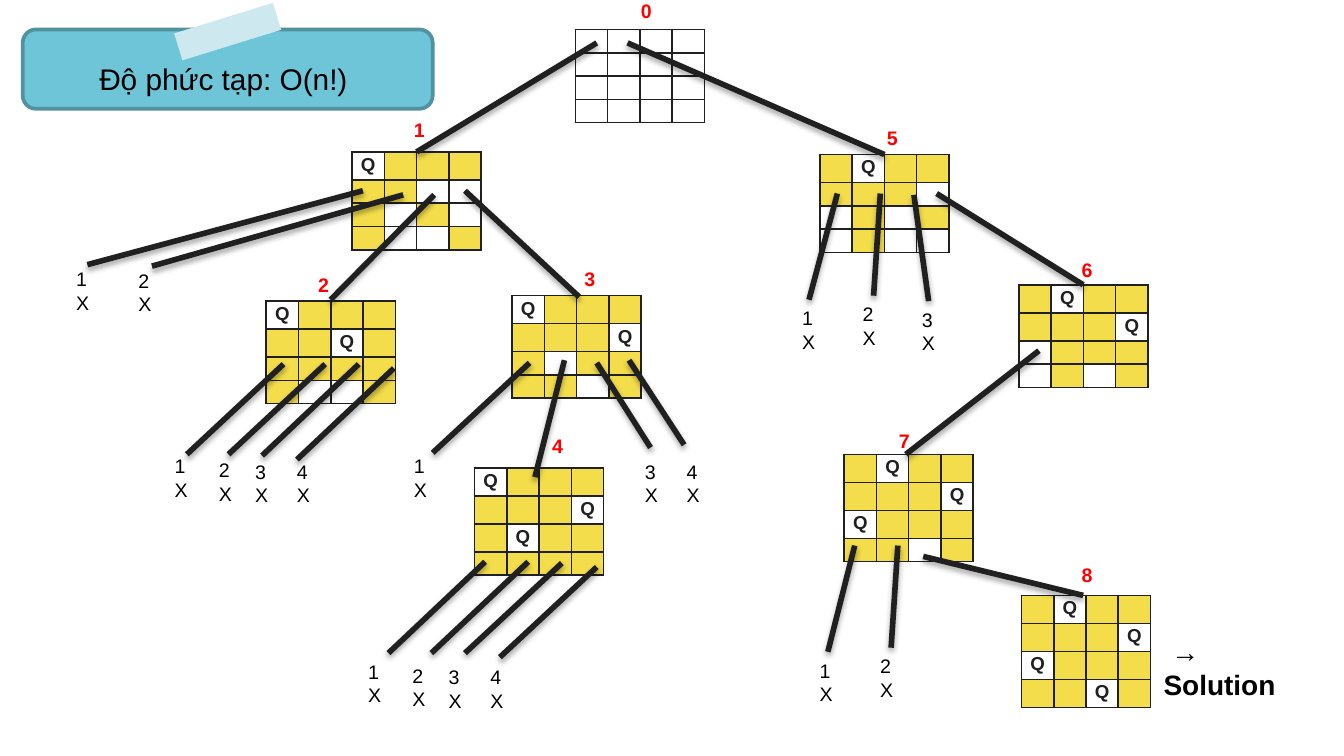
from lxml import etree
from pptx import Presentation
from pptx.dml.color import RGBColor
from pptx.enum.shapes import MSO_CONNECTOR, MSO_SHAPE
from pptx.enum.text import MSO_ANCHOR, MSO_AUTO_SIZE, PP_ALIGN
from pptx.oxml.ns import qn
from pptx.util import Pt

STRAIGHT = MSO_CONNECTOR.STRAIGHT
ROUNDED, RECTANGLE = MSO_SHAPE.ROUNDED_RECTANGLE, MSO_SHAPE.RECTANGLE
CENTER, MIDDLE = PP_ALIGN.CENTER, MSO_ANCHOR.MIDDLE
GROW = MSO_AUTO_SIZE.SHAPE_TO_FIT_TEXT

COLORS = {key: RGBColor.from_string(value) for key, value in {
    "ink": "202020", "black": "000000", "red": "FF0000", "free": "FFFFFF",
    "attacked": "F4DD4B", "card": "6FC5D8", "card edge": "5292A0", "tape": "CDE8EE",
}.items()}
COLUMN, QUEEN_ROW, PLAIN_ROW = 17.3, 15, 12.5
STEP_SIZE, LEAF_HEIGHT = 20.2, 32.4

# number, left, top, label left, label top, rows (Q queen, # attacked, . free)
BOARDS = [
    (0, 308.2, 15.8, 336.2, -4.3, ".... .... .... ...."),
    (1, 188.6, 81.4, 214.6, 59.8, "Q### ##.. #.#. #..#"),
    (2, 142.6, 161.3, 163.4, 142.6, "Q### ##Q# #### #..#"),
    (3, 274.3, 158.4, 306, 139.7, "Q### ###Q #.## ##.#"),
    (4, 254.2, 250.6, 288.7, 229, "Q### ###Q #Q## ####"),
    (5, 439.2, 82.8, 468, 64.1, "#Q## ###. .#.# .#.."),
    (6, 545.8, 152.6, 572.4, 134.6, "#Q## ###Q .### .#.#"),
    (7, 452.2, 243.4, 474.5, 226.1, "#Q## ###Q Q### ##.#"),
    (8, 547.2, 319, 572.4, 298.1, "#Q## ###Q Q### ##Q#"),
]
# from x, from y, to x, to y
BRANCHES = [
    (319.7, 23, 223.2, 81.4), (336.2, 23, 473.8, 82.8),
    (232.6, 104.4, 177.1, 160.6), (249.1, 102.2, 310.3, 159.1),
    (302.4, 193, 286.6, 255.6), (501.8, 103.7, 580.3, 152.6),
    (556.6, 187.9, 485.3, 243.4), (494.6, 298.1, 580.3, 319),
]
# column tried, branch ends, label left, label top, label width
DEAD_ENDS = [
    (1, (194.4, 102.2, 46.8, 141.8), 33.8, 139.7, 21.6),
    (2, (216, 104.4, 81.4, 142.6), 67, 140.4, 21.6),
    (1, (151.9, 195.1, 100.1, 243.4), 86.4, 239.8, 15.1),
    (2, (174.2, 195.1, 122.4, 243.4), 110.2, 241.9, 15.1),
    (3, (192.2, 195.1, 140.4, 244.1), 129.6, 242.6, 15.1),
    (4, (211, 197.3, 159.1, 246.2), 151.9, 242.6, 15.1),
    (1, (283.7, 194.4, 231.8, 242.6), 214.6, 239.8, 15.1),
    (3, (319.7, 194.4, 348.5, 239.8), 338.4, 242.6, 15.1),
    (4, (337, 193, 366.5, 238.3), 360.7, 242.6, 15.1),
    (1, (259.9, 301, 208.1, 349.9), 190.1, 349.9, 15.1),
    (2, (283, 301, 231.1, 349.9), 213.8, 352.1, 15.1),
    (3, (301, 301.7, 249.1, 349.9), 233.3, 352.8, 15.1),
    (4, (319.7, 303.8, 267.8, 352.1), 255.6, 352.8, 15.1),
    (1, (448.6, 103.7, 433.4, 160.6), 422.6, 160.6, 15.1),
    (2, (471.6, 103.7, 468, 158.4), 455, 158.4, 15.1),
    (3, (489.6, 104.4, 497.5, 161.3), 486.7, 161.3, 15.1),
    (1, (457.9, 292.3, 443.5, 349.2), 432, 349.2, 15.1),
    (2, (481, 292.3, 477.4, 347), 464.4, 347, 15.1),
]


def style(run, size, color, bold=False):
    """Set the typeface, size, colour and weight of a run."""
    run.font.name, run.font.size, run.font.bold = "Arial", Pt(size), bold
    run.font.color.rgb = COLORS[color]


def add_label(lines, left, top, width, height, size, color, bold, wrap):
    """Add a text box with one paragraph per line."""
    box = slide.shapes.add_textbox(Pt(left), Pt(top), Pt(width), Pt(height))
    frame = box.text_frame
    frame.word_wrap, frame.auto_size = wrap, GROW
    for index, line in enumerate(lines):
        paragraph = frame.add_paragraph() if index else frame.paragraphs[0]
        run = paragraph.add_run()
        run.text = line
        style(run, size, color, bold)


deck = Presentation()
deck.slide_width, deck.slide_height = Pt(720), Pt(405)
slide = deck.slides.add_slide(deck.slide_layouts[6])

# Boards
for number, left, top, label_left, label_top, pattern in BOARDS:
    rows = pattern.split()
    heights = [QUEEN_ROW if "Q" in row else PLAIN_ROW for row in rows]
    board = slide.shapes.add_table(4, 4, Pt(left), Pt(top),
                                   Pt(4 * COLUMN), Pt(sum(heights))).table
    for column in board.columns:
        column.width = Pt(COLUMN)
    for r, row in enumerate(rows):
        board.rows[r].height = Pt(heights[r])
        for c, mark in enumerate(row):
            square = board.cell(r, c)
            square.margin_left = square.margin_right = Pt(2.9)
            square.margin_top = square.margin_bottom = Pt(1.4)
            paragraph = square.text_frame.paragraphs[0]
            paragraph.alignment = CENTER
            if mark == "Q":
                queen = paragraph.add_run()
                queen.text = mark
                style(queen, 10, "ink", True)
            else:
                etree.SubElement(paragraph._p, qn("a:endParaRPr"), sz="600")
            properties = square._tc.get_or_add_tcPr()
            for side in ("lnL", "lnR", "lnT", "lnB"):
                border = etree.SubElement(properties, qn("a:" + side), w=str(Pt(1)))
                paint = etree.SubElement(border, qn("a:solidFill"))
                etree.SubElement(paint, qn("a:srgbClr"), val=str(COLORS["ink"]))
            square.fill.solid()
            square.fill.fore_color.rgb = COLORS["attacked" if mark == "#" else "free"]

# Branches
for ends in BRANCHES + [dead_end[1] for dead_end in DEAD_ENDS]:
    branch = slide.shapes.add_connector(STRAIGHT, *[Pt(value) for value in ends])
    branch.line.color.rgb = COLORS["ink"]
    branch.line.width = Pt(3)
    effects = etree.SubElement(branch._element.spPr, qn("a:effectLst"))
    shadow = etree.SubElement(effects, qn("a:outerShdw"), blurRad=str(Pt(3.1)),
                              dist=str(Pt(1.8)), dir="5400000", rotWithShape="0")
    tint = etree.SubElement(shadow, qn("a:srgbClr"), val=str(COLORS["black"]))
    etree.SubElement(tint, qn("a:alpha"), val="35000")

# Labels
for number, _, _, left, top, _ in BOARDS:
    add_label([str(number)], left, top, STEP_SIZE, STEP_SIZE, 10.5, "red", True, False)
for tried, _, left, top, width in DEAD_ENDS:
    add_label([str(tried), "X"], left, top, width, LEAF_HEIGHT, 10.5, "black", False,
              width < STEP_SIZE)
add_label([" → Solution"], 616.3, 336.2, 84.2, 43.9, 15, "black", True, True)

# Title card
card = slide.shapes.add_shape(ROUNDED, Pt(12.2), Pt(15.8), Pt(219.6), Pt(42.5))
card.line.color.rgb = COLORS["card edge"]
card.line.width = Pt(2)
tape = slide.shapes.add_shape(RECTANGLE, Pt(94.3), Pt(9.4), Pt(55.4), Pt(15.1))
tape.rotation = 342.8
tape.line.fill.background()
for shape, color in ((card, "card"), (tape, "tape")):
    shape.shadow.inherit = False
    shape.fill.solid()
    shape.fill.fore_color.rgb = COLORS[color]
card.text_frame.word_wrap = True
card.text_frame.vertical_anchor = MIDDLE
card.text_frame.margin_right = Pt(11.6)
heading = card.text_frame.paragraphs[0]
heading.alignment, heading.line_spacing = CENTER, 1.5
complexity = heading.add_run()
complexity.text = "Độ phức tạp: O(n!)"
style(complexity, 16, "black")

deck.save("out.pptx")
